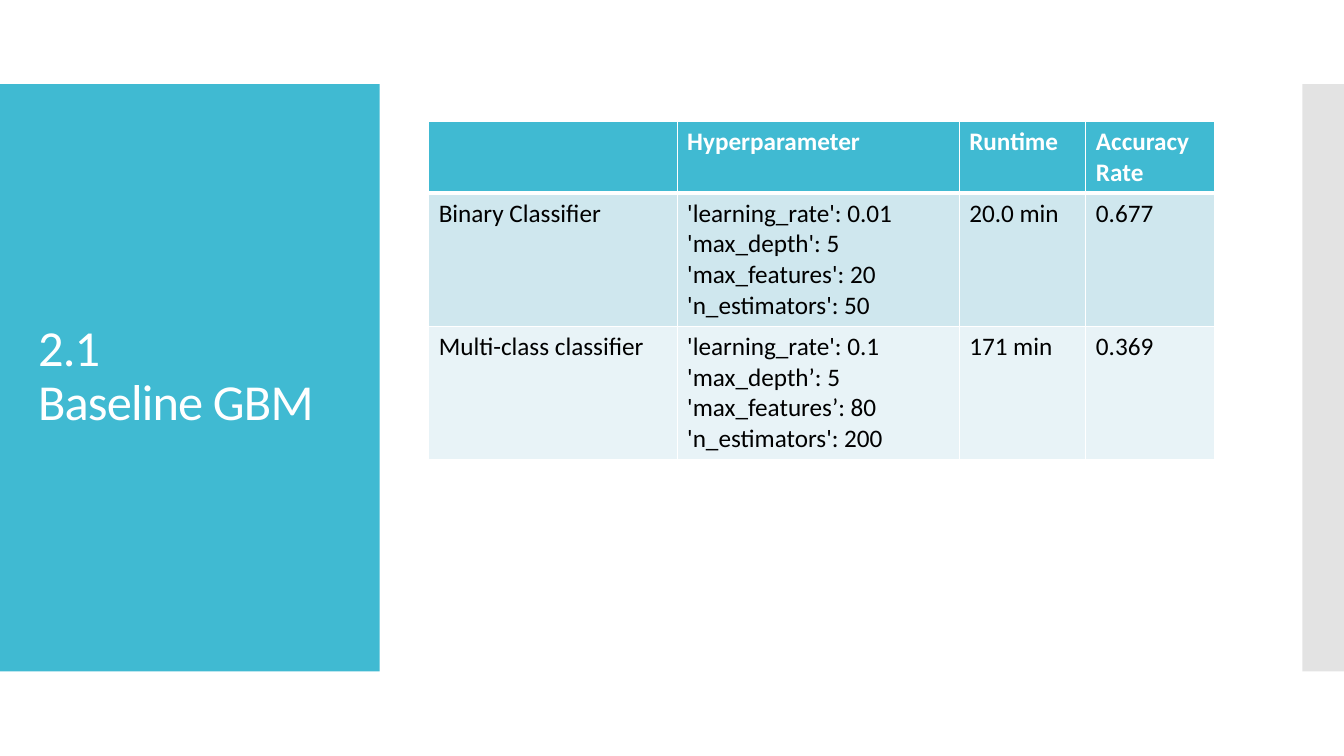
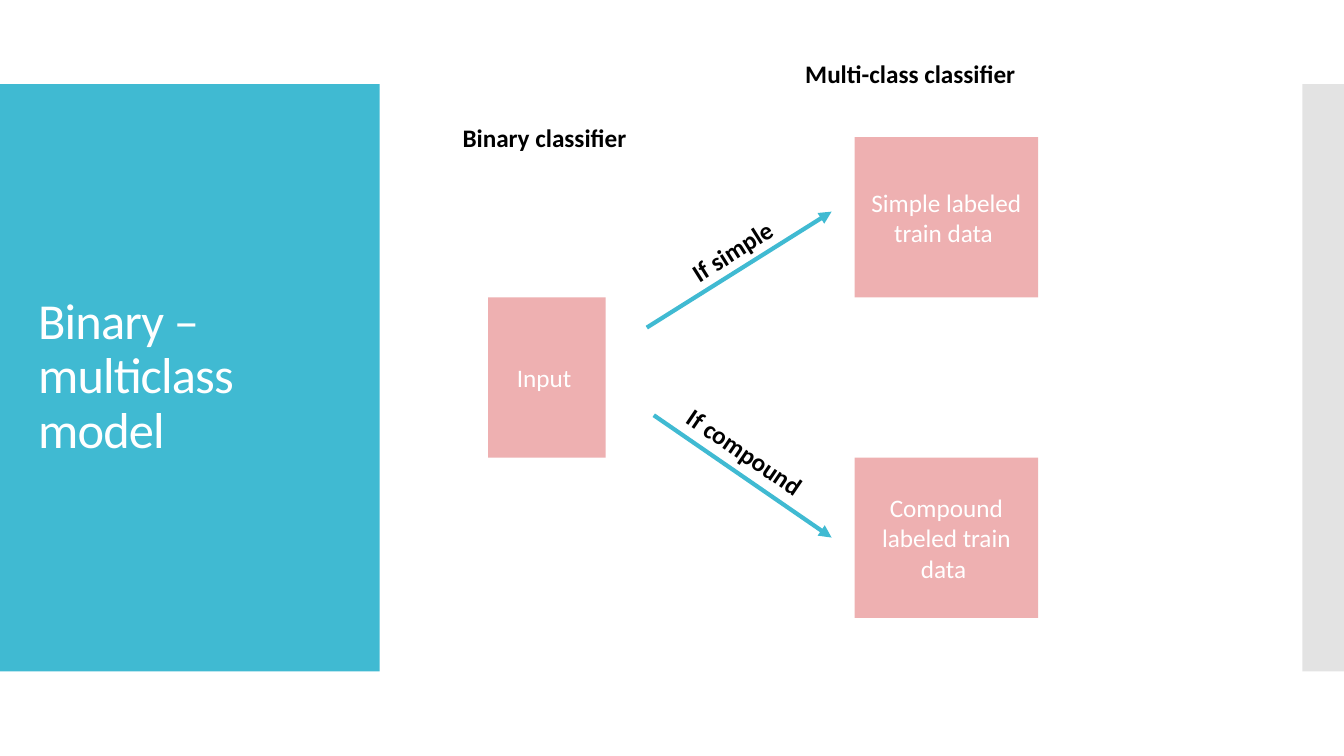
from lxml import etree
from pptx import Presentation
from pptx.dml.color import RGBColor
from pptx.enum.shapes import MSO_CONNECTOR, MSO_SHAPE
from pptx.enum.text import MSO_ANCHOR, MSO_AUTO_SIZE, PP_ALIGN
from pptx.oxml.ns import qn
from pptx.util import Pt

RECTANGLE = MSO_SHAPE.RECTANGLE
STRAIGHT = MSO_CONNECTOR.STRAIGHT
MIDDLE = MSO_ANCHOR.MIDDLE
LEFT, CENTER = PP_ALIGN.LEFT, PP_ALIGN.CENTER
NO_AUTOFIT = MSO_AUTO_SIZE.NONE

FONT = "Calibri"
TEAL, GREY, PINK = "40BAD2", "C8C8C8", "EEB0B1"
WHITE, BLACK = "FFFFFF", "000000"
ROW_FILLS = [TEAL, "CFE7EE", "E8F3F7"]


def rgb(value):
    return RGBColor.from_string(value)


def format_text(text_frame, color, size=18, bold=False, align=CENTER, anchor=MIDDLE):
    text_frame.word_wrap = True
    text_frame.vertical_anchor = anchor
    for paragraph in text_frame.paragraphs:
        paragraph.alignment = align
        for run in paragraph.runs:
            run.font.name = FONT
            run.font.size = Pt(size)
            run.font.bold = bold
            run.font.color.rgb = rgb(color)


presentation = Presentation()
presentation.slide_width = Pt(960)
presentation.slide_height = Pt(540)
layout = presentation.slide_layouts[5]

# Slides and their titles
slides = []
for title_text in ["2.1 \vBaseline GBM", "Binary – multiclass model"]:
    slide = presentation.slides.add_slide(layout)
    slides.append(slide)
    title = slide.shapes.title
    title.left, title.top, title.width, title.height = Pt(20), Pt(88.5), Pt(232), Pt(362)
    title.text_frame.text = title_text
    title.text_frame.auto_size = NO_AUTOFIT
    format_text(title.text_frame, WHITE, size=36, align=LEFT)
    for paragraph in title.text_frame.paragraphs:
        paragraph.line_spacing = 0.9
        for run in paragraph.runs:
            run.font._element.set("spc", "-60")
table_slide, diagram_slide = slides

# Side bands, moved to the shared layout
for left, width, color, opacity in [(0, 271.2, TEAL, 100), (930.4, 29.6, GREY, 50)]:
    band = table_slide.shapes.add_shape(RECTANGLE, Pt(left), Pt(60), Pt(width), Pt(419.5))
    band.shadow.inherit = False
    band.fill.solid()
    band.fill.fore_color.rgb = rgb(color)
    band.line.fill.background()
    if opacity < 100:
        color_element = band._element.spPr.find(".//" + qn("a:srgbClr"))
        etree.SubElement(color_element, qn("a:alpha"), val=str(opacity * 1000))
    layout.shapes._spTree.insert(2, band._element)

# Results table
rows = [
    ["", "Hyperparameter", "Runtime", "Accuracy Rate"],
    ["Binary Classifier",
     "'learning_rate': 0.01\n'max_depth': 5\n'max_features': 20\n'n_estimators': 50",
     "20.0 min", "0.677"],
    ["Multi-class classifier",
     "'learning_rate': 0.1 'max_depth’: 5\n'max_features’: 80\n'n_estimators': 200",
     "171 min", "0.369"],
]
column_widths = [177.5, 201.5, 90.5, 92]
row_heights = [51, 95, 95]
table = table_slide.shapes.add_table(
    len(rows), len(column_widths), Pt(306.2), Pt(86.8),
    Pt(sum(column_widths)), Pt(sum(row_heights))).table
for column, width in zip(table.columns, column_widths):
    column.width = Pt(width)
for row_index, (row, height) in enumerate(zip(rows, row_heights)):
    table.rows[row_index].height = Pt(height)
    is_header = row_index == 0
    border_widths = {
        "a:lnL": 1,
        "a:lnR": 1,
        "a:lnT": 3 if row_index == 1 else 1,
        "a:lnB": 3 if is_header else 1,
    }
    for column_index, text in enumerate(row):
        cell = table.cell(row_index, column_index)
        cell.text_frame.text = text
        format_text(cell.text_frame, WHITE if is_header else BLACK,
                    bold=is_header, align=LEFT, anchor=MSO_ANCHOR.TOP)
        properties = cell._tc.get_or_add_tcPr()
        for tag, width in border_widths.items():
            border = etree.SubElement(properties, qn(tag), w=str(Pt(width)))
            border_fill = etree.SubElement(border, qn("a:solidFill"))
            etree.SubElement(border_fill, qn("a:srgbClr"), val=WHITE)
        cell.fill.solid()
        cell.fill.fore_color.rgb = rgb(ROW_FILLS[row_index])

# Diagram boxes
for text, left, top, width in [
    ("Input ", 348.7, 212.4, 84),
    ("Simple labeled train data ", 610.4, 97.9, 131.2),
    ("Compound labeled train data ", 610.4, 326.9, 131.2),
]:
    box = diagram_slide.shapes.add_shape(RECTANGLE, Pt(left), Pt(top), Pt(width), Pt(114.5))
    box.shadow.inherit = False
    box.fill.solid()
    box.fill.fore_color.rgb = rgb(PINK)
    box.line.fill.background()
    box.text_frame.text = text
    format_text(box.text_frame, WHITE)

# Arrows from the input to the two classifiers
for start_x, start_y, end_x, end_y in [(462, 234, 594, 151.2), (467, 296.6, 594, 384)]:
    arrow = diagram_slide.shapes.add_connector(
        STRAIGHT, Pt(start_x), Pt(start_y), Pt(end_x), Pt(end_y))
    arrow.line.color.rgb = rgb(TEAL)
    arrow.line.width = Pt(3)
    etree.SubElement(arrow.line._get_or_add_ln(), qn("a:tailEnd"), type="triangle")
    etree.SubElement(arrow._element.spPr, qn("a:effectLst"))

# Headings and arrow labels
for text, left, top, width, rotation in [
    ("Binary classifier ", 319.7, 62, 142.6, 0),
    ("Multi-class classifier ", 563, 16.6, 178.6, 0),
    ("If simple", 451.4, 143.3, 142.6, -32.2),
    ("If compound", 460.8, 286.6, 142.6, 34.2),
]:
    label = diagram_slide.shapes.add_textbox(Pt(left), Pt(top), Pt(width), Pt(72))
    label.rotation = rotation
    label.text_frame.text = text
    format_text(label.text_frame, BLACK, bold=True)

presentation.save("out.pptx")
